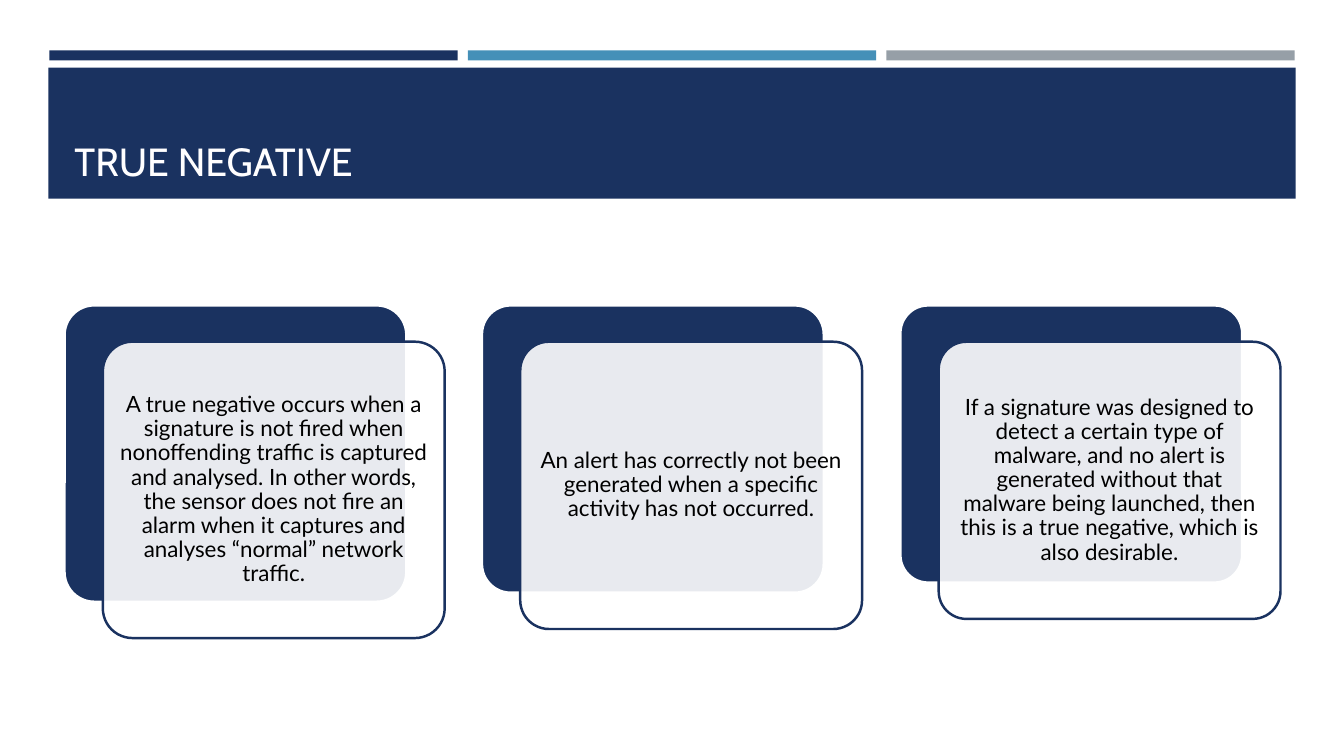
from dataclasses import dataclass

from lxml import etree
from pptx import Presentation
from pptx.dml.color import RGBColor
from pptx.enum.shapes import MSO_SHAPE
from pptx.enum.text import MSO_ANCHOR, PP_ALIGN
from pptx.oxml.ns import qn
from pptx.shapes.autoshape import Shape
from pptx.slide import Slide
from pptx.util import Emu, Pt

RECTANGLE = MSO_SHAPE.RECTANGLE
ROUNDED = MSO_SHAPE.ROUNDED_RECTANGLE
MIDDLE = MSO_ANCHOR.MIDDLE
BOTTOM = MSO_ANCHOR.BOTTOM
CENTER = PP_ALIGN.CENTER

EMU_PER_PX = 9144  # 100 px to the inch


@dataclass(frozen=True)
class Theme:
    navy: RGBColor = RGBColor(0x1A, 0x32, 0x60)
    blue: RGBColor = RGBColor(0x45, 0x90, 0xB8)
    grey: RGBColor = RGBColor(0x96, 0x9F, 0xA7)
    white: RGBColor = RGBColor(0xFF, 0xFF, 0xFF)
    title_text: RGBColor = RGBColor(0xFF, 0xFE, 0xFF)
    body_text: RGBColor = RGBColor(0x00, 0x00, 0x00)
    title_font: str = "Cabin"
    body_font: str = "Lato"
    title_size: Pt = Pt(28)
    body_size: Pt = Pt(16)
    outline: Pt = Pt(1.75)


@dataclass(frozen=True)
class Box:
    left: int
    top: int
    width: int
    height: int

    def emu(self) -> tuple[Emu, Emu, Emu, Emu]:
        return px(self.left), px(self.top), px(self.width), px(self.height)


@dataclass(frozen=True)
class Card:
    text: str
    height: int


THEME = Theme()
STRIPE_COLORS = (THEME.navy, THEME.blue, THEME.grey)
STRIPE_PITCH = 415
BANNER = Box(48, 67, 1237, 130)
TITLE = Box(64, 77, 1206, 111)

CARD_LEFT, CARD_TOP, CARD_WIDTH = 64, 303, 339
CARD_SPAN = 829  # from the first card to the third
FRONT_DX, FRONT_DY = 38, 36
CARD_INSET = 7
CARDS = (
    Card(
        "A true negative occurs when a signature is not fired when nonoffending "
        "traffic is captured and analysed. In other words, the sensor does not fire "
        "an alarm when it captures and analyses “normal” network traffic.",
        294,
    ),
    Card(
        "An alert has correctly not been generated when a specific activity "
        "has not occurred.",
        285,
    ),
    Card(
        "If a signature was designed to detect a certain type of malware, and no "
        "alert is generated without that malware being launched, then this is a "
        "true negative, which is also desirable.",
        275,
    ),
)


def px(length: int) -> Emu:
    return Emu(length * EMU_PER_PX)


def add_block(slide: Slide, box: Box, color: RGBColor) -> Shape:
    block = slide.shapes.add_shape(RECTANGLE, *box.emu())
    block.shadow.inherit = False
    block.fill.solid()
    block.fill.fore_color.rgb = color
    block.line.fill.background()
    return block


def add_panel(slide: Slide, box: Box, fill: RGBColor, outline: RGBColor) -> Shape:
    """Add a rounded, outlined rectangle."""
    panel = slide.shapes.add_shape(ROUNDED, *box.emu())
    panel.adjustments[0] = 0.1
    panel.shadow.inherit = False
    panel.fill.solid()
    panel.fill.fore_color.rgb = fill
    panel.line.color.rgb = outline
    panel.line.width = THEME.outline
    return panel


def set_opacity(shape: Shape, percent: int) -> None:
    color = shape.fill._xPr.find(qn("a:solidFill"))[0]
    etree.SubElement(color, qn("a:alpha")).set("val", str(percent * 1000))


def add_title(slide: Slide, text: str) -> None:
    frame = slide.shapes.add_textbox(*TITLE.emu()).text_frame
    frame.word_wrap = True
    frame.vertical_anchor = BOTTOM
    run = frame.paragraphs[0].add_run()
    run.text = text
    run.font.name = THEME.title_font
    run.font.size = THEME.title_size
    run.font.color.rgb = THEME.title_text


def add_card(slide: Slide, left: int, card: Card) -> None:
    """Add a navy panel with an offset translucent panel that holds the text."""
    back = Box(left, CARD_TOP, CARD_WIDTH, card.height)
    front = Box(left + FRONT_DX, CARD_TOP + FRONT_DY, CARD_WIDTH, card.height)
    add_panel(slide, back, THEME.navy, THEME.white)
    front_panel = add_panel(slide, front, THEME.white, THEME.navy)
    set_opacity(front_panel, 90)

    frame = front_panel.text_frame
    frame.word_wrap = True
    frame.vertical_anchor = MIDDLE
    frame.margin_left = frame.margin_right = px(CARD_INSET)
    frame.margin_top = frame.margin_bottom = px(CARD_INSET)
    paragraph = frame.paragraphs[0]
    paragraph.alignment = CENTER
    paragraph.line_spacing = 0.9
    run = paragraph.add_run()
    run.text = card.text
    run.font.name = THEME.body_font
    run.font.size = THEME.body_size
    run.font.color.rgb = THEME.body_text


def main() -> None:
    presentation = Presentation()
    presentation.slide_width = px(1333)
    presentation.slide_height = px(750)
    slide = presentation.slides.add_slide(presentation.slide_layouts[6])

    for column, color in enumerate(STRIPE_COLORS):
        add_block(slide, Box(49 + column * STRIPE_PITCH, 50, 405, 10), color)
    add_block(slide, BANNER, THEME.navy)
    add_title(slide, "TRUE NEGATIVE")
    for column, card in enumerate(CARDS):
        add_card(slide, CARD_LEFT + column * CARD_SPAN // 2, card)

    presentation.save("out.pptx")


if __name__ == "__main__":
    main()
